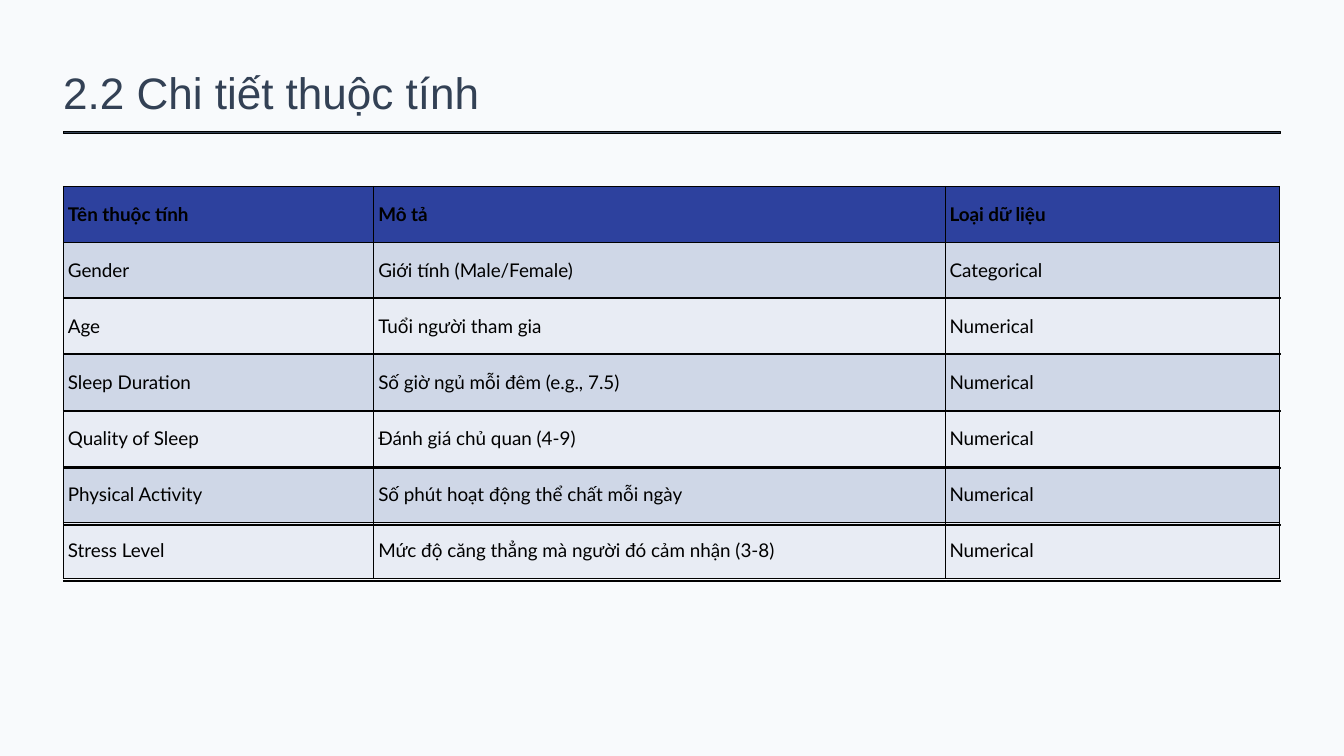
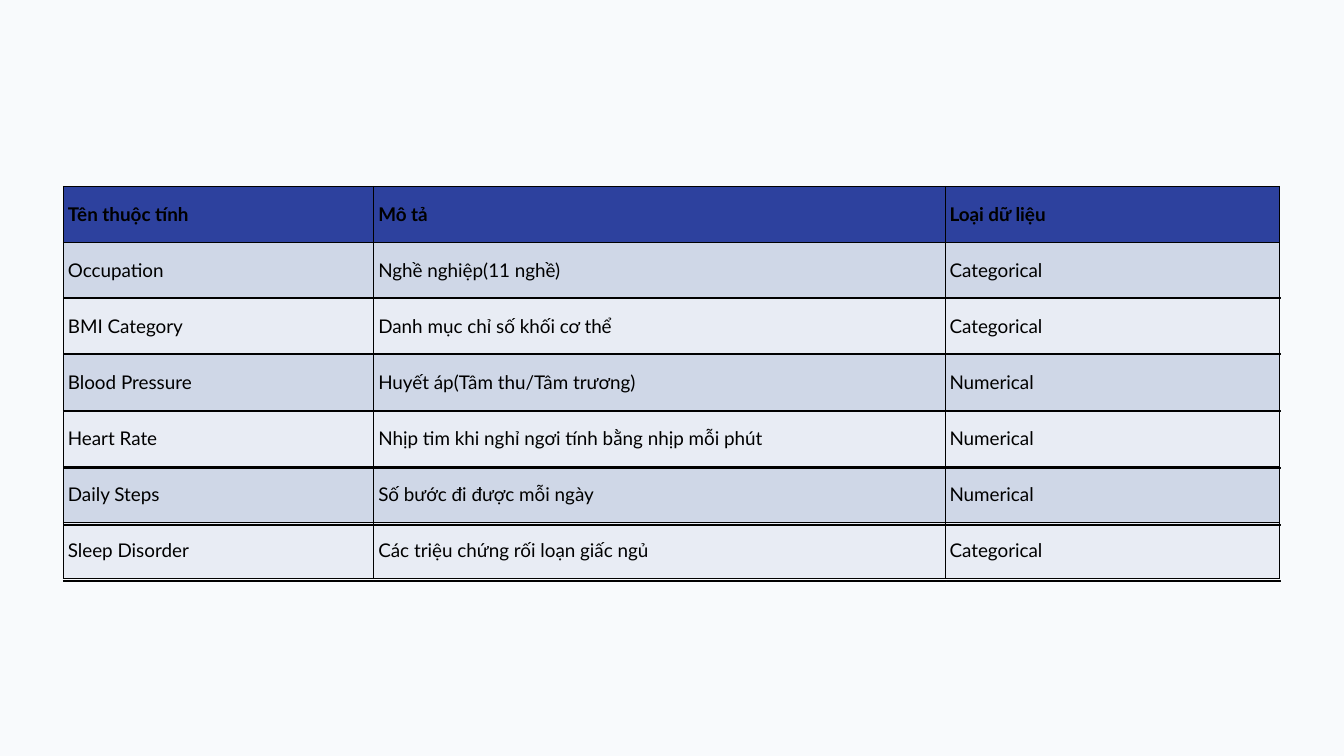
from dataclasses import dataclass
from itertools import accumulate

from lxml.etree import SubElement
from pptx import Presentation
from pptx.dml.color import RGBColor
from pptx.enum.shapes import MSO_SHAPE as Shape
from pptx.enum.text import MSO_ANCHOR as Anchor, MSO_AUTO_SIZE as Fit, PP_ALIGN as Align
from pptx.oxml.ns import qn
from pptx.util import Pt

SCALE = 9144
LEFT = 94
COLS = (462, 850, 498)
SPANS = (462, 852, 498)
TABLE_TOP, TABLE_TALL = 277, 583
RULE_TOP, RULE_END, RULES = 442, 864, 6
INK, SLATE, LINE = "334155", "475569", "000000"
HEAD, BANDS = "2D419E", ("CFD7E7", "E8ECF4")
PAGE = "F8FAFC"
HEADS = ("Tên thuộc tính", "Mô tả", "Loại dữ liệu")
CAT, NUM = "Categorical", "Numerical"


@dataclass(frozen=True)
class Trait:
    name: str
    note: str
    kind: str = NUM


@dataclass(frozen=True)
class Bar:
    left: int
    top: int
    wide: int
    tall: int
    tint: str


BASICS = (
    Trait("Gender", "Giới tính (Male/Female)", CAT),
    Trait("Age", "Tuổi người tham gia"),
    Trait("Sleep Duration", "Số giờ ngủ mỗi đêm (e.g., 7.5)"),
    Trait("Quality of Sleep", "Đánh giá chủ quan (4-9)"),
    Trait("Physical Activity", "Số phút hoạt động thể chất mỗi ngày"),
    Trait("Stress Level", "Mức độ căng thẳng mà người đó cảm nhận (3-8)"),
)
HEALTH = (
    Trait("Occupation", "Nghề nghiệp(11 nghề)", CAT),
    Trait("BMI Category", "Danh mục chỉ số khối cơ thể", CAT),
    Trait("Blood Pressure", "Huyết áp(Tâm thu/Tâm trương)"),
    Trait("Heart Rate", "Nhịp tim khi nghỉ ngơi tính bằng nhịp mỗi phút"),
    Trait("Daily Steps", "Số bước đi được mỗi ngày"),
    Trait("Sleep Disorder", "Các triệu chứng rối loạn giấc ngủ", CAT),
)


def px(*sizes: int) -> list[int]:
    return [size * SCALE for size in sizes]


def paint(fill, tint: str) -> None:
    fill.solid()
    fill.fore_color.rgb = RGBColor.from_string(tint)


def write(frame, text: str, *, size: float, lead: float, font: str,
          tint: str = LINE, bold: bool = False, pad: int = 0, anchor=Anchor.MIDDLE) -> None:
    frame.word_wrap = True
    frame.vertical_anchor = anchor
    frame.margin_left, frame.margin_top, frame.margin_right, frame.margin_bottom = px(pad, pad, pad, pad)
    para = frame.paragraphs[0]
    para.alignment = Align.LEFT
    para.line_spacing = Pt(lead)
    run = para.add_run()
    run.text = text
    run.font.name, run.font.size, run.font.bold = font, Pt(size), bold
    run.font.color.rgb = RGBColor.from_string(tint)


def draw_bar(slide, bar: Bar) -> None:
    shape = slide.shapes.add_shape(Shape.RECTANGLE, *px(bar.left, bar.top, bar.wide, bar.tall))
    shape.shadow.inherit = False
    paint(shape.fill, bar.tint)
    paint(shape.line.fill, LINE)
    shape.line.width = Pt(1)


def edge(cell) -> None:
    props = cell._tc.get_or_add_tcPr()
    for side in "LRTB":
        line = SubElement(props, qn(f"a:ln{side}"), w=str(Pt(0.75)))
        fill = SubElement(line, qn("a:solidFill"))
        SubElement(fill, qn("a:srgbClr"), val=LINE)


def draw_table(slide, traits: tuple[Trait, ...]) -> None:
    rows = [HEADS] + [(trait.name, trait.note, trait.kind) for trait in traits]
    box = px(LEFT, TABLE_TOP, sum(COLS), TABLE_TALL)
    table = slide.shapes.add_table(len(rows), len(COLS), *box).table
    table.first_row = table.horz_banding = False
    for col, wide in zip(table.columns, px(*COLS)):
        col.width = wide
    for y, row in enumerate(rows):
        for x, text in enumerate(row):
            cell = table.cell(y, x)
            edge(cell)
            paint(cell.fill, BANDS[(y - 1) % 2] if y else HEAD)
            write(cell.text_frame, text, size=20.2, lead=24.3, font="Lato", bold=y == 0)
            cell.vertical_anchor = Anchor.MIDDLE
            cell.margin_left, cell.margin_top, cell.margin_right, cell.margin_bottom = px(7, 7, 7, 7)


def draw_rules(slide) -> None:
    step = (RULE_END - RULE_TOP) / (RULES - 1)
    lefts = list(accumulate(SPANS[:-1], initial=LEFT))
    for i in range(RULES):
        for left, wide in zip(lefts, SPANS):
            draw_bar(slide, Bar(left, round(RULE_TOP + i * step), wide, 2, SLATE))


def draw_title(slide, text: str) -> None:
    title = slide.shapes.title
    title.left, title.top, title.width, title.height = px(LEFT, 81, 706, 95)
    write(title.text_frame, text, size=47.2, lead=68, font="Arial", tint=INK, anchor=Anchor.TOP)
    title.text_frame.auto_size = Fit.SHAPE_TO_FIT_TEXT
    draw_bar(slide, Bar(LEFT, 196, sum(SPANS), 3, INK))


def add_page(deck, traits: tuple[Trait, ...], title: str = "") -> None:
    slide = deck.slides.add_slide(deck.slide_layouts[5 if title else 6])
    if title:
        draw_title(slide, title)
    draw_table(slide, traits)
    draw_rules(slide)


def main() -> None:
    deck = Presentation()
    deck.slide_width, deck.slide_height = px(2000, 1125)
    paint(deck.slide_master.background.fill, PAGE)
    add_page(deck, BASICS, "2.2 Chi tiết thuộc tính")
    add_page(deck, HEALTH)
    deck.save("out.pptx")


if __name__ == "__main__":
    main()
